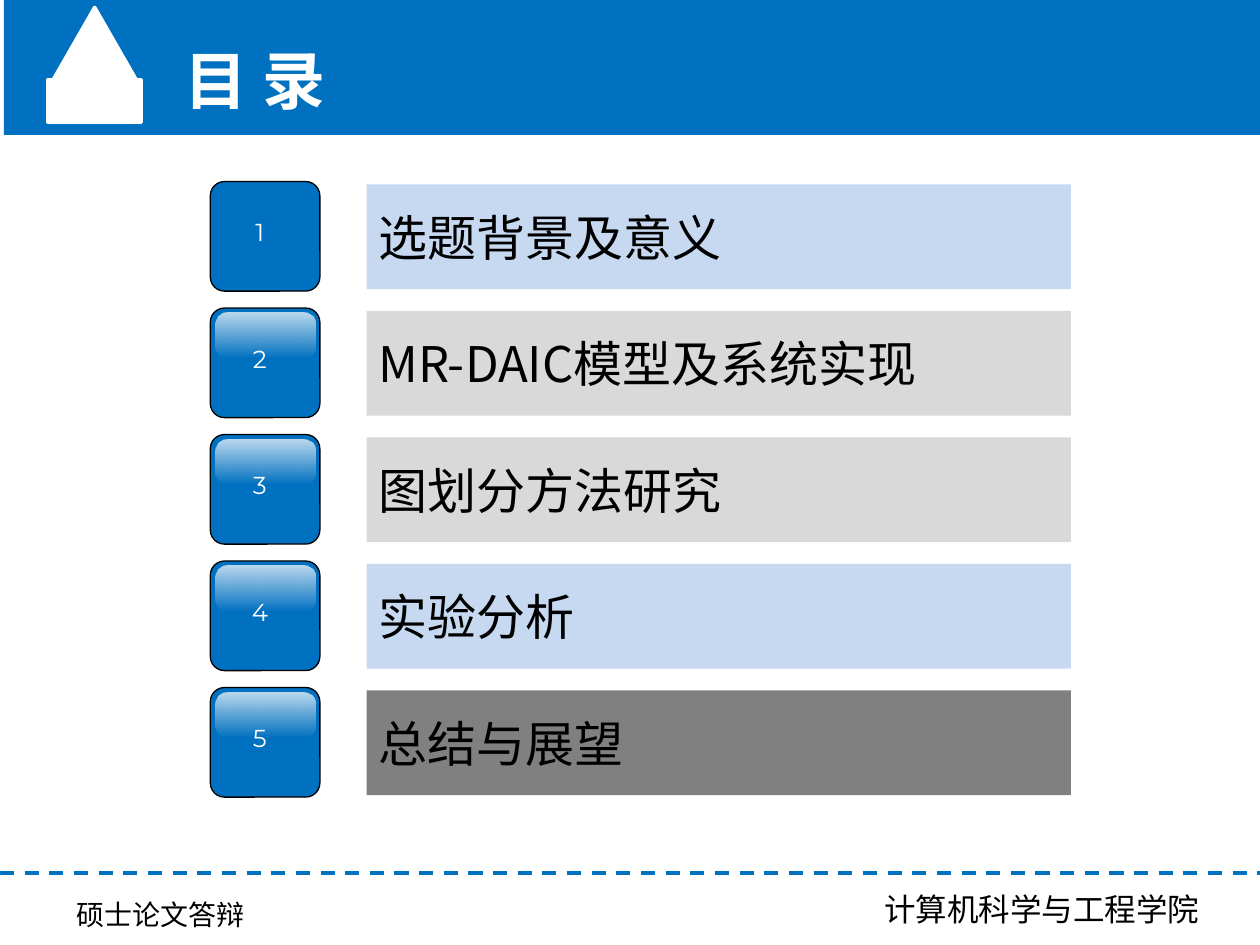
from lxml import etree
from pptx import Presentation
from pptx.dml.color import RGBColor as Rgb
from pptx.enum.dml import MSO_LINE as Dash
from pptx.enum.shapes import MSO_CONNECTOR as Link, MSO_SHAPE as Kind
from pptx.enum.text import MSO_ANCHOR as Anchor, MSO_AUTO_SIZE as Fit, PP_ALIGN as Align
from pptx.oxml.ns import qn
from pptx.util import Cm, Pt

HUE = {"blue": "0070C0", "pale": "C6D9F1", "grey": "D9D9D9",
       "dark": "808080", "white": "FFFFFF", "black": "000000"}
SANS = "Noto Sans CJK SC"
ITEMS = [("选题背景及意义", "pale"), ("MR-DAIC模型及系统实现", "grey"),
         ("图划分方法研究", "grey"), ("实验分析", "pale"), ("总结与展望", "dark")]


def tint(name):
    """Return the named colour."""
    return Rgb.from_string(HUE[name])


def place(box):
    """Turn a box in centimetres into lengths."""
    return [Cm(n) for n in box]


def block(shapes, kind, box, fill, line=None, width=1, bend=None):
    """Add a filled preset shape."""
    shape = shapes.add_shape(kind, *place(box))
    shape.shadow.inherit = False
    shape.fill.solid()
    shape.fill.fore_color.rgb = tint(fill)
    if line:
        shape.line.color.rgb = tint(line)
        shape.line.width = Pt(width)
    else:
        shape.line.fill.background()
    if bend:
        shape.adjustments[0] = bend
    return shape


def write(frame, text, size, color="black", font=SANS, bold=False):
    """Add one run to the first paragraph."""
    run = frame.paragraphs[0].add_run()
    run.text = text
    run.font.size = Pt(size)
    run.font.bold = bold
    run.font.name = font
    run.font.color.rgb = tint(color)
    etree.SubElement(run.font._element, qn("a:ea"), typeface=font)
    return run


def label(shapes, box, text, size, fit=Fit.SHAPE_TO_FIT_TEXT, **look):
    """Add a one-line text box."""
    frame = shapes.add_textbox(*place(box)).text_frame
    frame.word_wrap = False
    frame.auto_size = fit
    return frame.paragraphs[0], write(frame, text, size, **look)


def gloss(shapes, box):
    """Add a white sheen that fades downwards."""
    shape = block(shapes, Kind.ROUNDED_RECTANGLE, box, "white", bend=0.26)
    shape.fill.gradient()
    shape.fill.gradient_angle = 270
    for stop, alpha in zip(shape.fill.gradient_stops, (75000, 0)):
        stop.color.rgb = tint("white")
        node = stop._gs.find(qn("a:srgbClr"))
        etree.SubElement(node, qn("a:alpha"), val=str(alpha))


def header(shapes, x, y, w, h):
    """Draw the title band with its house mark."""
    block(shapes, Kind.RECTANGLE, (x, y, w, h), "blue")
    block(shapes, Kind.RECTANGLE, (x + 0.89, y + 1.6, 1.88, 0.86), "white", "white", 2)
    block(shapes, Kind.ISOSCELES_TRIANGLE, (x + 0.94, y + 0.15, 1.78, 1.55),
          "white", "white", 2)
    label(shapes, (x + 3.4, y + 0.71, 3.45, 1.8), "目 录", 36, color="white", bold=True)


def badge(shapes, x, y, side, num):
    """Draw a numbered tile, glossy after the first."""
    parts = shapes.add_group_shape().shapes
    block(parts, Kind.ROUNDED_RECTANGLE, (x, y, side, side), "blue", "black", 0.75, 0.13)
    para, run = label(parts, (x + 0.71, y + 0.6, 0.58, 1.02), str(num), 14,
                      Fit.NONE, color="white", font="Montserrat")
    para.alignment = Align.CENTER
    run.font._element.set("spc", "-70")
    if num > 1:
        gloss(parts, (x + 0.1, y + 0.1, side - 0.2, 0.89))


def agenda(shapes, x, y, w, step):
    """Stack the agenda rows."""
    for i, (text, fill) in enumerate(ITEMS):
        top = y + i * step
        badge(shapes, x, top, 2.21, i + 1)
        bar = block(shapes, Kind.RECTANGLE, (x + 3.15, top + 0.06, w - 3.15, 2.11), fill)
        frame = bar.text_frame
        frame.word_wrap = True
        frame.vertical_anchor = Anchor.MIDDLE
        frame.paragraphs[0].alignment = Align.LEFT
        write(frame, text, 28)


def footer(shapes, x, y, w):
    """Draw the dashed rule and the two captions."""
    rule = shapes.add_connector(Link.STRAIGHT, *place((x, y, x + w, y)))
    rule.line.color.rgb = tint("blue")
    rule.line.width = Pt(2)
    rule.line.dash_style = Dash.DASH
    etree.SubElement(rule._element.spPr, qn("a:effectLst"))
    label(shapes, (x + 17.58, y + 0.21, 6.93, 1.02), "计算机科学与工程学院", 18,
          font="Noto Sans CJK JP")
    label(shapes, (x + 1.3, y + 0.36, 3.94, 0.94), "硕士论文答辩", 16)


def main():
    """Build and save the slide."""
    deck = Presentation()
    deck.slide_width, deck.slide_height = Cm(25.4), Cm(19.05)
    shapes = deck.slides.add_slide(deck.slide_layouts[6]).shapes
    header(shapes, 0.08, 0, 25.4, 2.72)
    footer(shapes, 0, 17.6, 25.4)
    agenda(shapes, 4.24, 3.66, 17.35, 2.55)
    deck.save("out.pptx")


if __name__ == "__main__":
    main()
